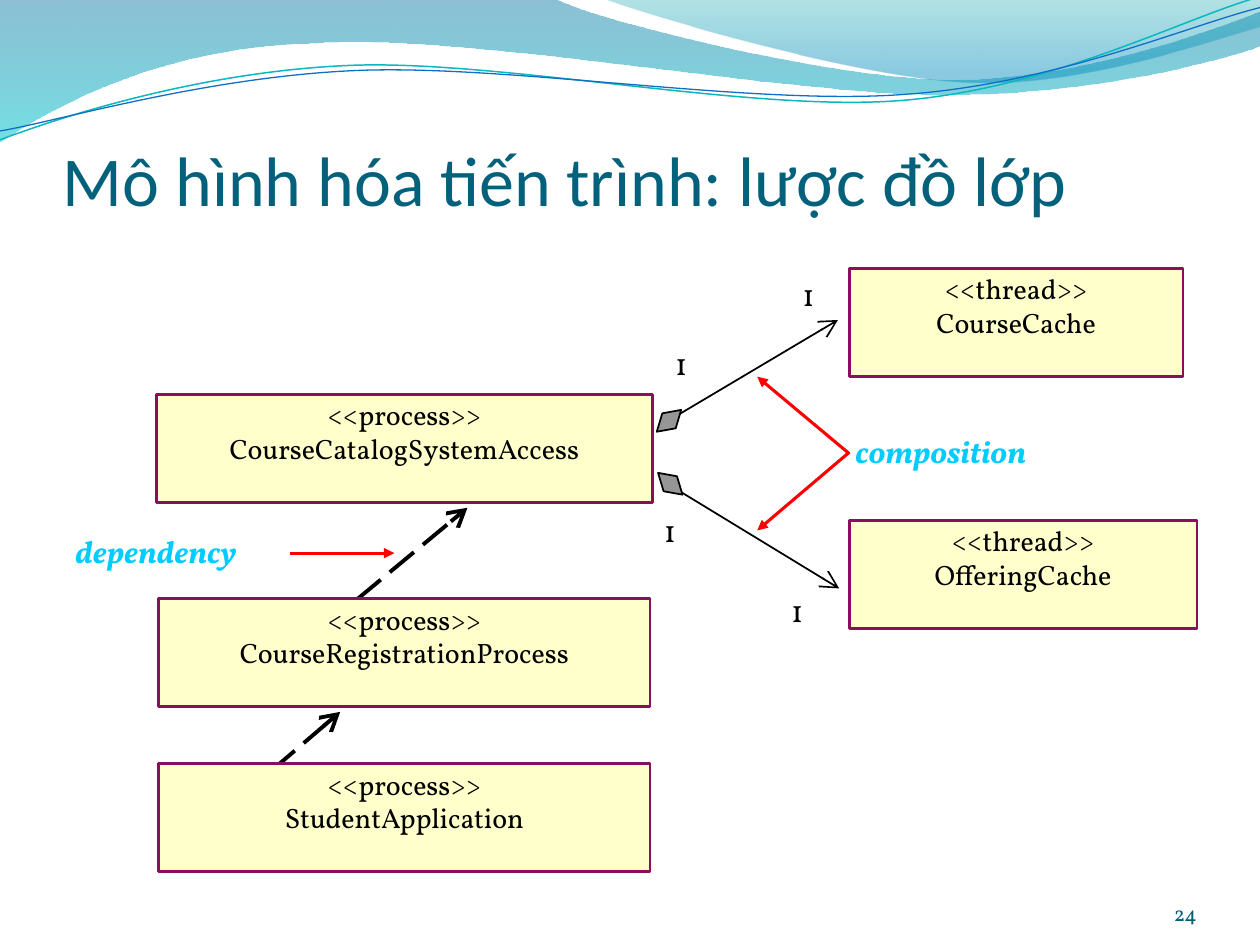
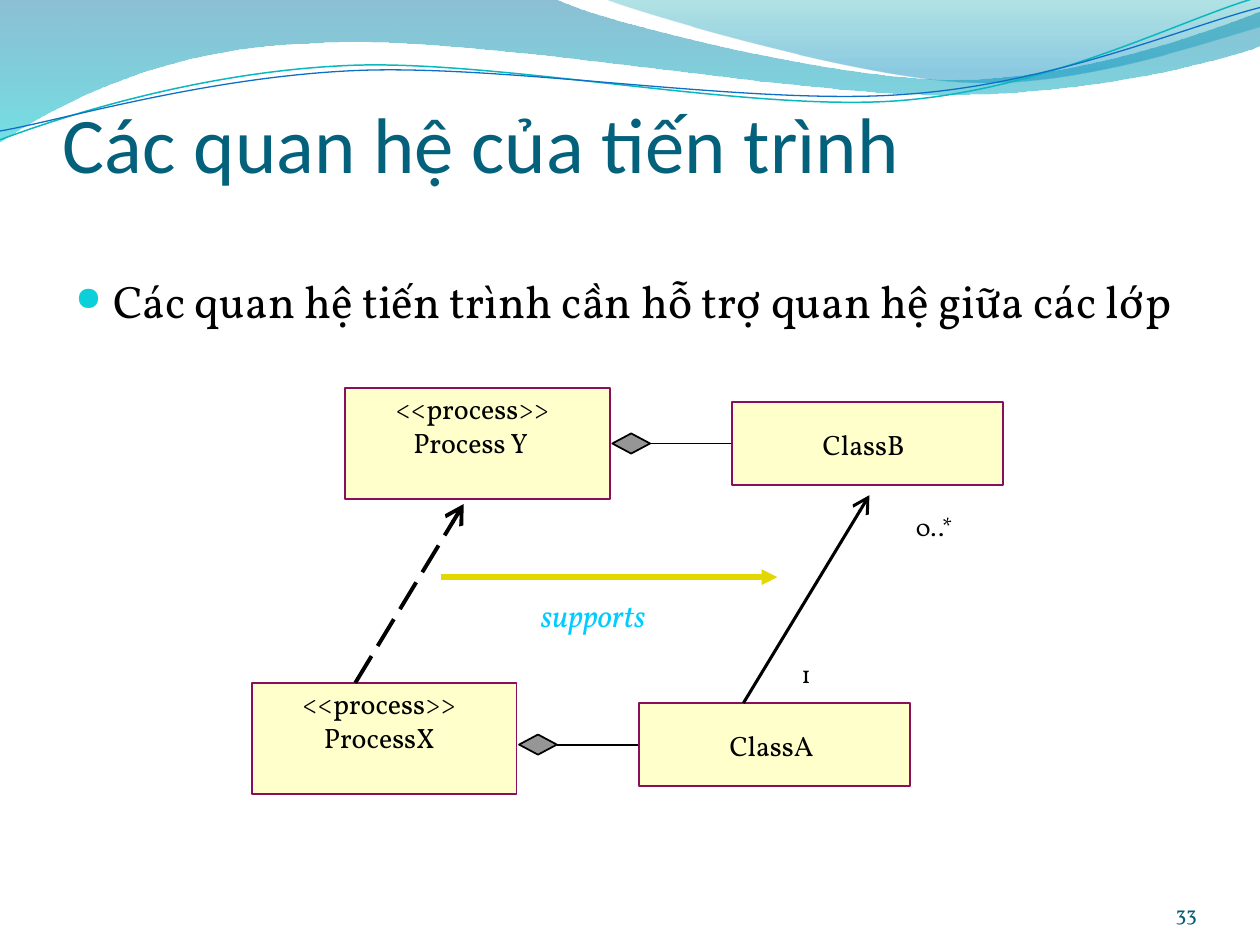
from dataclasses import dataclass

from lxml import etree
from pptx import Presentation
from pptx.dml.color import RGBColor
from pptx.enum.dml import MSO_LINE
from pptx.enum.shapes import MSO_CONNECTOR, MSO_SHAPE
from pptx.enum.text import MSO_ANCHOR, MSO_AUTO_SIZE, PP_ALIGN
from pptx.oxml.ns import qn
from pptx.util import Inches, Pt

RECT, DIAMOND = MSO_SHAPE.RECTANGLE, MSO_SHAPE.DIAMOND
STRAIGHT, DASH = MSO_CONNECTOR.STRAIGHT, MSO_LINE.LONG_DASH
TOP, BOTTOM = MSO_ANCHOR.TOP, MSO_ANCHOR.BOTTOM
LEFT, CENTER, RIGHT = PP_ALIGN.LEFT, PP_ALIGN.CENTER, PP_ALIGN.RIGHT
FIT = MSO_AUTO_SIZE.SHAPE_TO_FIT_TEXT
LEFT_SIDE, RIGHT_SIDE = 1, 3


@dataclass(frozen=True)
class Theme:
    head_font: str = "Calibri"
    font: str = "Vollkorn"
    title: str = "04617B"
    number: str = "045D75"
    ink: str = "000000"
    box: str = "FFFFCC"
    edge: str = "8A0E5E"
    gem: str = "969696"
    note: str = "00CCFF"
    red: str = "FF0000"
    gold: str = "E2D700"
    bullet: str = "0BD0D9"
    body_size: int = 26
    note_size: int = 18
    box_size: int = 16
    mark_size: int = 14
    number_size: int = 12


THEME = Theme()
PAD = (0.1, 0.05, 0.1, 0.05)
WIDE_PAD = (0.12, 0.06, 0.12, 0.06)
NO_PAD = (0, 0, 0, 0)

# Each wave: start point, then steps of one point (line) or three (curve).
BANDS = [
    ((0, 0), [
        [(4.4, -0.01)],
        [(4.76, 0.17), (6.64, 0.63), (7.58, 0.63)],
        [(8.53, 0.63), (9.58, 0.26), (10, 0.09)],
        [(10.01, 0.36)],
        [(9.83, 0.44), (8.7, 0.76), (7.46, 0.75)],
        [(6.22, 0.75), (3.82, 0.28), (2.57, 0.34)],
        [(1.29, 0.36), (0.46, 0.83), (-0.01, 1.13)],
        [(0, 0)],
    ], [(0, "0074A1", 45), (1, "00C6CF", 55)]),
    ((4.79, -0.01), [
        [(5.09, 0.11), (6.82, 0.62), (7.69, 0.65)],
        [(8.56, 0.69), (9.61, 0.32), (10, 0.21)],
        [(10, 0)],
        [(4.79, -0.01)],
    ], [(0, "00A1A9", 30), (0.8, "008BBF", 45)]),
]
STRANDS = [
    ((0, 1.11), [
        [(0.48, 0.93), (1.58, 0.57), (2.77, 0.52)],
        [(3.95, 0.47), (5.93, 0.89), (7.13, 0.8)],
        [(8.33, 0.71), (9.38, 0.15), (9.98, -0.02)],
    ], "0AB8BF", 0.85),
    ((0, 1.04), [
        [(0.47, 0.96), (1.64, 0.61), (2.83, 0.56)],
        [(4.03, 0.51), (5.97, 0.84), (7.17, 0.75)],
        [(8.36, 0.67), (9.41, 0.21), (10, 0.06)],
    ], "0F6FC6", 0.75),
]


def rgb(code):
    return RGBColor.from_string(code)


def add_wave(slide, start, steps, close):
    """Draw straight segments, then merge each three-point step into a curve."""
    points = [(Inches(x), Inches(y)) for step in steps for x, y in step]
    pen = slide.shapes.build_freeform(*map(Inches, start))
    pen.add_line_segments(points, close=close)
    wave = pen.convert_to_shape()
    wave.shadow.inherit = False
    lines = iter(list(wave.element.iter(qn("a:lnTo"))))
    for step in steps:
        parts = [next(lines) for _ in step]
        if len(parts) == 3:
            curve = etree.Element(qn("a:cubicBezTo"))
            parts[0].addprevious(curve)
            for part in parts:
                curve.append(part[0])
                part.getparent().remove(part)
    return wave


def add_band(slide, start, steps, stops):
    band = add_wave(slide, start, steps, True)
    band.line.fill.background()
    band.fill.gradient()
    band.fill.gradient_angle = 270
    for stop, (place, code, _) in zip(band.fill.gradient_stops, stops):
        stop.position = place
        stop.color.rgb = rgb(code)
    for tint, (_, _, alpha) in zip(band.element.iter(qn("a:srgbClr")), stops):
        etree.SubElement(tint, qn("a:alpha"), val=str(alpha * 1000))


def add_strand(slide, start, steps, code, width):
    strand = add_wave(slide, start, steps, False)
    strand.fill.background()
    strand.line.color.rgb = rgb(code)
    strand.line.width = Pt(width)


def set_text(shape, text, size, code=THEME.ink, font=THEME.font, align=LEFT,
             anchor=TOP, pad=PAD, bold=False, italic=False, wrap=True):
    frame = shape.text_frame
    frame.text = text
    frame.word_wrap = wrap
    if not wrap:
        frame.auto_size = FIT
    frame.vertical_anchor = anchor
    (frame.margin_left, frame.margin_top,
     frame.margin_right, frame.margin_bottom) = map(Inches, pad)
    for para in frame.paragraphs:
        para.alignment = align
        for run in para.runs:
            run.font.name = font
            run.font.size = Pt(size)
            run.font.color.rgb = rgb(code)
            run.font.bold = bold
            run.font.italic = italic


def add_text(slide, area, text, size, **style):
    label = slide.shapes.add_textbox(*map(Inches, area))
    set_text(label, text, size, **style)
    return label


def add_shape(slide, kind, area, fill, edge=None, width=1):
    shape = slide.shapes.add_shape(kind, *map(Inches, area))
    shape.shadow.inherit = False
    shape.fill.solid()
    shape.fill.fore_color.rgb = rgb(fill)
    if edge:
        shape.line.color.rgb = rgb(edge)
        shape.line.width = Pt(width)
    else:
        shape.line.fill.background()
    return shape


def add_box(slide, area, width):
    return add_shape(slide, RECT, area, THEME.box, THEME.edge, width)


def add_tag(slide, area, text):
    """Add a filled, unframed label."""
    tag = add_shape(slide, RECT, area, THEME.box)
    set_text(tag, text, THEME.box_size, pad=NO_PAD, wrap=False)


def add_plain(slide, area, text):
    add_text(slide, area, text, THEME.box_size, pad=NO_PAD, wrap=False)


def add_gem(slide, area, turn=0):
    gem = add_shape(slide, DIAMOND, area, THEME.gem, THEME.ink)
    gem.rotation = turn
    return gem


def add_line(slide, start, end, width, code=THEME.ink, head=None, dash=None):
    line = slide.shapes.add_connector(STRAIGHT, *map(Inches, (*start, *end)))
    line.line.color.rgb = rgb(code)
    line.line.width = Pt(width)
    if dash:
        line.line.dash_style = dash
    if head:
        size = "lg" if head == "arrow" else "med"
        etree.SubElement(line.line._get_or_add_ln(), qn("a:tailEnd"),
                         type=head, w=size, len=size)
    etree.SubElement(line.element.spPr, qn("a:effectLst"))
    return line


def add_bullet(slide, area, text):
    body = add_text(slide, area, text, THEME.body_size)
    props = body.text_frame.paragraphs[0]._p.get_or_add_pPr()
    props.set("marL", str(Inches(0.3)))
    props.set("indent", str(-Inches(0.3)))
    tint = etree.SubElement(props, qn("a:buClr"))
    etree.SubElement(tint, qn("a:srgbClr"), val=THEME.bullet)
    etree.SubElement(props, qn("a:buSzPct"), val="73000")
    etree.SubElement(props, qn("a:buChar"), char="●")


def start_slide(deck, title, size, base, number):
    """Add a slide with waves, a title whose box ends at base, and a number."""
    slide = deck.slides.add_slide(deck.slide_layouts[6])
    for band in BANDS:
        add_band(slide, *band)
    for strand in STRANDS:
        add_strand(slide, *strand)
    add_text(slide, (0.5, 0.77, 9, base - 0.77), title, size, code=THEME.title,
             font=THEME.head_font, anchor=BOTTOM, pad=(0, 0.05, 0, 0))
    add_text(slide, (8.67, 6.95, 0.83, 0.4), number, THEME.number_size,
             code=THEME.number, align=RIGHT, anchor=BOTTOM, pad=NO_PAD)
    return slide


def add_class_slide(deck):
    slide = start_slide(deck, "Mô hình hóa tiến trình: lược đồ lớp", 40, 1.75, "24")
    for start, end in [((2.83, 4.76), (3.71, 4.03)), ((2.15, 6.12), (2.7, 5.65))]:
        add_line(slide, start, end, 2.25, head="arrow", dash=DASH)

    for x, y, width, span, kind, name in [
        (1.24, 3.13, 3.94, 3.48, "process", "CourseCatalogSystemAccess"),
        (1.26, 4.75, 3.9, 3.22, "process", "CourseRegistrationProcess"),
        (1.26, 6.06, 3.9, 2.27, "process", "StudentApplication"),
        (6.74, 2.13, 2.65, 1.73, "thread", "CourseCache"),
        (6.74, 4.13, 2.76, 1.81, "thread", "OfferingCache"),
    ]:
        add_box(slide, (x, y, width, 0.86), 1.5)
        add_text(slide, (x + (width - span) / 2, y - 0.02, span, 0.6),
                 f"<<{kind}>>\n{name}", THEME.box_size, align=CENTER, wrap=False)

    for start, end, spot, turn in [
        ((5.37, 3.3), (6.65, 2.54), (5.18, 3.26), 318.2),
        ((5.38, 3.89), (6.66, 4.67), (5.19, 3.76), 41.8),
    ]:
        add_line(slide, start, end, 1, head="arrow")
        add_gem(slide, (*spot, 0.26, 0.16), turn)

    for x, y in [(6.27, 2.13), (5.26, 2.68), (5.17, 4.01), (6.18, 4.64)]:
        add_text(slide, (x, y, 0.37, 0.38), "1", THEME.note_size)

    for x, y, word in [(6.69, 3.38, "composition"), (0.5, 4.17, "dependency")]:
        add_text(slide, (x, y, 1.94, 0.38), word, THEME.note_size,
                 code=THEME.note, bold=True, italic=True)
    for start, end in [((6.74, 3.6), (6.01, 2.99)), ((6.74, 3.59), (6.01, 4.21)),
                       ((2.3, 4.39), (3.13, 4.39))]:
        add_line(slide, start, end, 1.75, THEME.red, "triangle")


def add_link_slide(deck):
    slide = start_slide(deck, "Các quan hệ của tiến trình", 45, 1.5, "33")
    add_bullet(slide, (0.5, 2.12, 9, 4.8),
               "Các quan hệ tiến trình cần hỗ trợ quan hệ giữa các lớp")

    for x, y, owner, inset, span, label, part_y, part in [
        (2.74, 3.08, "Process Y", 0.54, 1.01, add_plain, 3.19, "ClassB"),
        (2, 5.42, "ProcessX", 0.57, 0.95, add_tag, 5.58, "ClassA"),
    ]:
        mid = part_y + 0.33
        gem = add_gem(slide, (x + 2.12, mid - 0.08, 0.3, 0.16))
        link = add_line(slide, (x + 2.42, mid), (x + 3.07, mid), 1)
        box = add_box(slide, (x + 3.07, part_y, 2.15, 0.66), 1)
        link.begin_connect(gem, RIGHT_SIDE)
        link.end_connect(box, LEFT_SIDE)
        add_tag(slide, (x + 3.79, part_y + 0.2, 0.7, 0.27), part)
        add_box(slide, (x, y, 2.1, 0.88), 1)
        label(slide, (x + inset, y + 0.3, span, 0.27), owner)
        label(slide, (x + 0.4, y + 0.03, 1.3, 0.27), "<<process>>")

    add_line(slide, (5.9, 5.58), (6.9, 3.93), 1.75, head="arrow")
    add_line(slide, (2.82, 5.42), (3.68, 4), 2.25, head="arrow", dash=DASH)
    add_line(slide, (3.5, 4.58), (6.17, 4.58), 3, THEME.gold, "triangle")
    for x, y, mark in [(7.15, 4, "0..*"), (6.24, 5.17, "1")]:
        add_text(slide, (x, y, 0.83, 0.35), mark, THEME.mark_size, pad=WIDE_PAD)
    add_text(slide, (4.17, 4.67, 1.42, 0.42), "supports", THEME.note_size,
             code=THEME.note, italic=True, pad=WIDE_PAD)


def main():
    deck = Presentation()
    deck.slide_width, deck.slide_height = Inches(10), Inches(7.5)
    add_class_slide(deck)
    add_link_slide(deck)
    deck.save("out.pptx")


if __name__ == "__main__":
    main()
